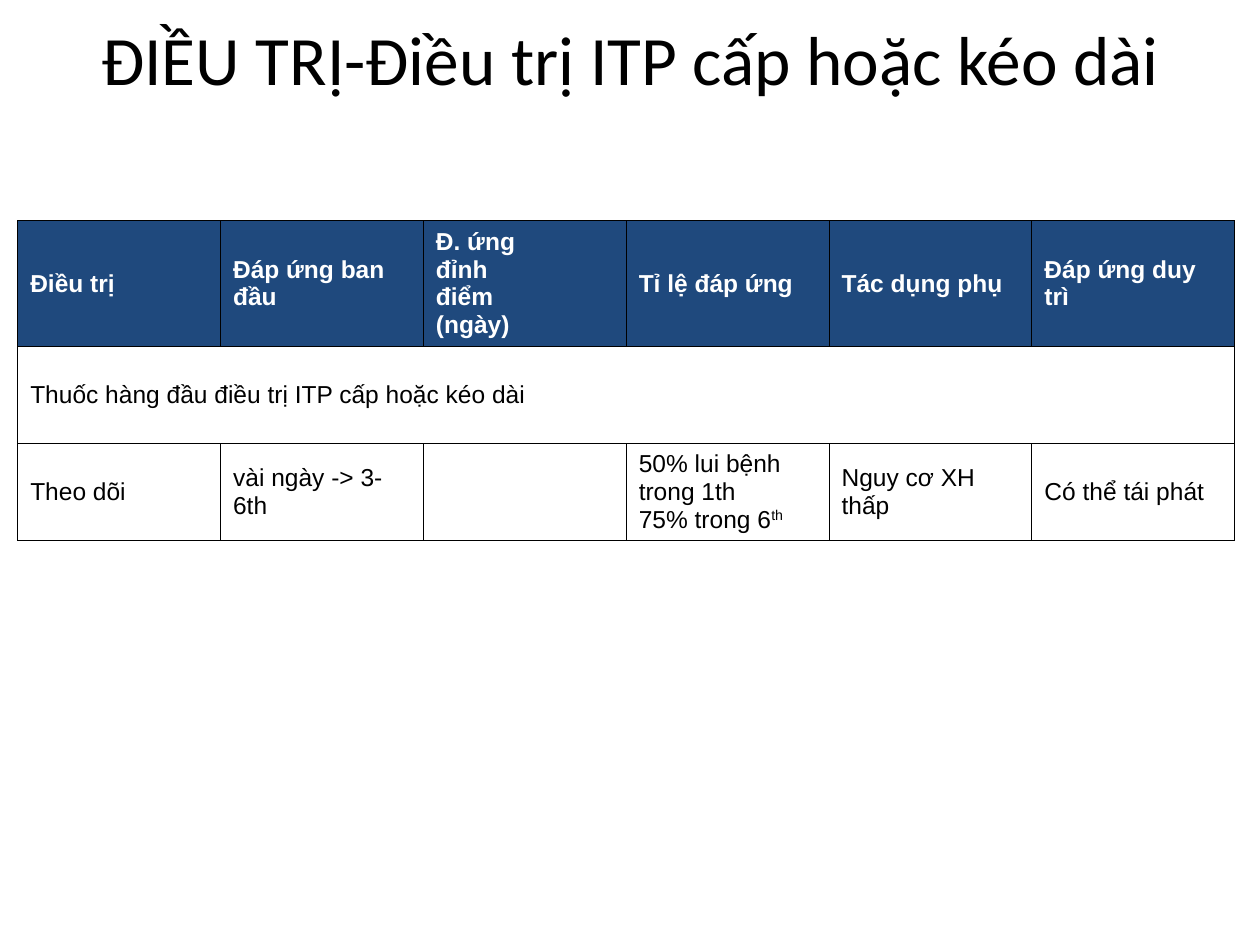
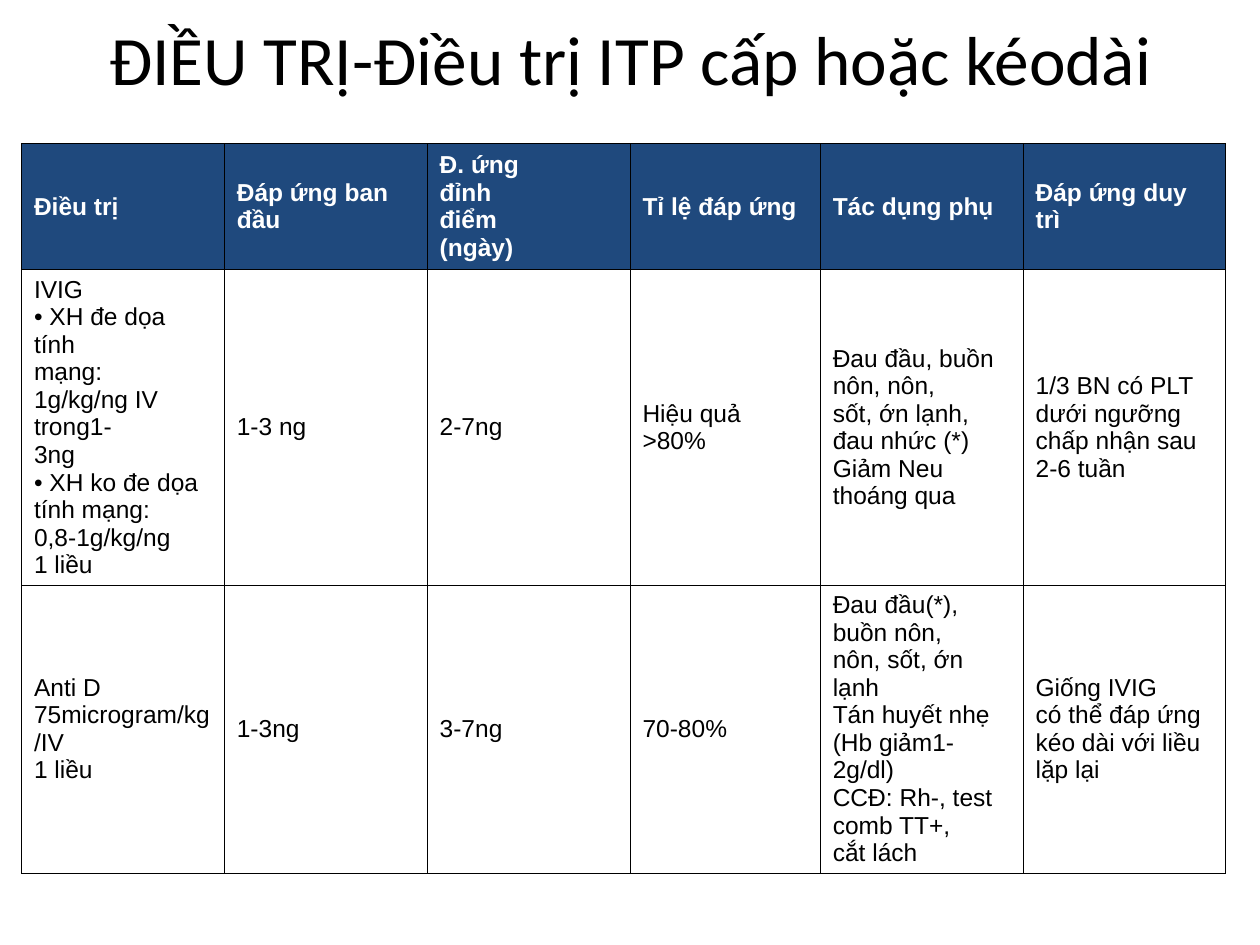
from dataclasses import dataclass

from lxml import etree
from pptx import Presentation
from pptx.dml.color import RGBColor
from pptx.enum.text import MSO_ANCHOR, MSO_AUTO_SIZE, PP_ALIGN
from pptx.oxml.ns import qn
from pptx.presentation import Presentation as Deck
from pptx.slide import Slide
from pptx.table import _Cell as Cell
from pptx.util import Inches, Pt

MIDDLE = MSO_ANCHOR.MIDDLE
NO_FIT = MSO_AUTO_SIZE.NONE
CENTER = PP_ALIGN.CENTER

NAVY = RGBColor(0x1F, 0x49, 0x7D)
WHITE = RGBColor(0xFF, 0xFF, 0xFF)
BLACK = RGBColor(0x00, 0x00, 0x00)

TITLE_ONLY = 5
EDGES = ("a:lnL", "a:lnR", "a:lnT", "a:lnB")
RAISE = "^"
COL = 1.61

HEADS = (
    "Điều trị",
    "Đáp ứng ban\nđầu",
    "Đ. ứng\nđỉnh\nđiểm\n(ngày)",
    "Tỉ lệ đáp ứng",
    "Tác dụng phụ",
    "Đáp ứng duy trì",
)


@dataclass(frozen=True)
class Page:
    title: str
    left: float
    top: float
    cols: tuple[float, ...]
    highs: tuple[float, ...]
    rows: tuple[tuple[str, ...], ...]


PAGES = (
    Page(
        "ĐIỀU TRỊ-Điều trị ITP cấp hoặc kéo dài",
        0.14,
        1.75,
        (COL,) * 6,
        (1, 0.77, 0.77),
        (
            ("Thuốc hàng đầu điều trị ITP cấp hoặc kéo dài",),
            (
                "Theo dõi",
                "vài ngày -> 3-\n6th",
                "",
                "50% lui bệnh\ntrong 1th\n75% trong 6^th",
                "Nguy cơ XH thấp",
                "Có thể tái phát",
            ),
        ),
    ),
    Page(
        "ĐIỀU TRỊ-Điều trị ITP cấp hoặc kéodài",
        0.17,
        1.14,
        (COL, COL, COL, 1.51, COL, COL),
        (1, 2.5, 2.28),
        (
            (
                "IVIG\n• XH đe dọa tính\nmạng:\n1g/kg/ng IV trong1-\n3ng\n"
                "• XH ko đe dọa\ntính mạng:\n0,8-1g/kg/ng\n1 liều",
                "1-3 ng",
                "2-7ng",
                "Hiệu quả\n>80%",
                "Đau đầu, buồn nôn, nôn,\nsốt, ớn lạnh, đau nhức (*)\n"
                "Giảm Neu thoáng qua",
                "1/3 BN có PLT\ndưới ngưỡng\nchấp nhận sau\n2-6 tuần",
            ),
            (
                "Anti D\n75microgram/kg/IV\n1 liều",
                "1-3ng",
                "3-7ng",
                "70-80%",
                "Đau đầu(*), buồn nôn,\nnôn, sốt, ớn lạnh\n"
                "Tán huyết nhẹ (Hb giảm1-\n2g/dl)\n"
                "CCĐ: Rh-, test comb TT+,\ncắt lách",
                "Giống IVIG\ncó thể đáp ứng\nkéo dài với liều\nlặp lại",
            ),
        ),
    ),
)


def add_title(slide: Slide, text: str) -> None:
    title = slide.shapes.title
    title.left, title.top = Inches(0.17), Inches(0.12)
    title.width, title.height = Inches(9.67), Inches(0.68)
    frame = title.text_frame
    frame.auto_size = NO_FIT
    frame.word_wrap = True
    frame.vertical_anchor = MIDDLE
    para = frame.paragraphs[0]
    para.alignment = CENTER
    run = para.add_run()
    run.text = text
    run.font.name = "Calibri"
    run.font.size = Pt(39.6)
    run.font.color.rgb = BLACK


def add_edges(cell: Cell) -> None:
    props = cell._tc.get_or_add_tcPr()
    for place, tag in enumerate(EDGES):
        line = etree.Element(qn(tag), w=str(Pt(0.5)))
        fill = etree.SubElement(line, qn("a:solidFill"))
        etree.SubElement(fill, qn("a:srgbClr"), val=str(BLACK))
        props.insert(place, line)


def style_cell(cell: Cell, head: bool) -> None:
    cell.vertical_anchor = MIDDLE
    cell.margin_left = cell.margin_right = Inches(0.1)
    cell.margin_top = cell.margin_bottom = Inches(0.05)
    if head:
        cell.fill.solid()
        cell.fill.fore_color.rgb = NAVY
    else:
        cell.fill.background()
    add_edges(cell)


def write_cell(cell: Cell, text: str, head: bool) -> None:
    para = cell.text_frame.paragraphs[0]
    para.font.size = Pt(14)
    for row, line in enumerate(text.split("\n")):
        if row:
            para.add_line_break()
        for part, words in enumerate(line.split(RAISE)):
            if not words:
                continue
            run = para.add_run()
            run.text = words
            run.font.name = "Arial"
            run.font.size = Pt(14)
            run.font.bold = head
            run.font.color.rgb = WHITE if head else BLACK
            if part:
                run._r.get_or_add_rPr().set("baseline", "30000")


def add_grid(slide: Slide, page: Page) -> None:
    rows = (HEADS, *page.rows)
    wide = len(page.cols)
    table = slide.shapes.add_table(
        len(rows),
        wide,
        Inches(page.left),
        Inches(page.top),
        Inches(sum(page.cols)),
        Inches(sum(page.highs)),
    ).table
    table.horz_banding = False
    table.first_row = False
    for col, width in zip(table.columns, page.cols):
        col.width = Inches(width)
    for row, high in zip(table.rows, page.highs):
        row.height = Inches(high)
    for y, texts in enumerate(rows):
        head = y == 0
        for x in range(wide):
            style_cell(table.cell(y, x), head)
        if len(texts) == 1:
            table.cell(y, 0).merge(table.cell(y, wide - 1))
        for x, text in enumerate(texts):
            write_cell(table.cell(y, x), text, head)


def add_page(deck: Deck, page: Page) -> None:
    slide = deck.slides.add_slide(deck.slide_layouts[TITLE_ONLY])
    add_title(slide, page.title)
    add_grid(slide, page)


def main() -> None:
    deck = Presentation()
    deck.slide_width, deck.slide_height = Inches(10), Inches(7.5)
    for page in PAGES:
        add_page(deck, page)
    deck.save("out.pptx")


if __name__ == "__main__":
    main()
